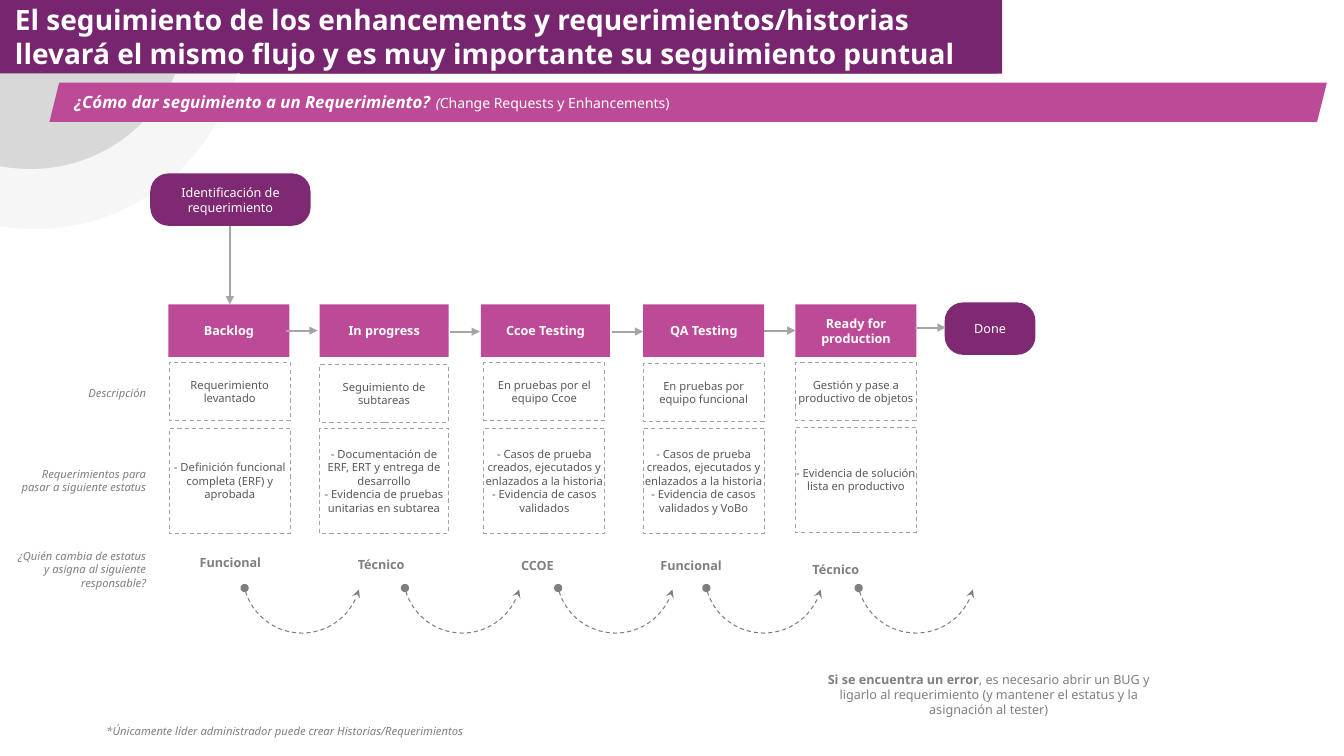
"""Builds the slide on how a requirement is followed from backlog to done."""
from dataclasses import dataclass

from pptx import Presentation
from pptx import util as u
from pptx.dml import color
from pptx.enum import dml, shapes, text
from pptx.oxml import ns, xmlchemy

TITLE = ("El seguimiento de los enhancements y requerimientos/historias "
         "llevará el mismo flujo y es muy importante su seguimiento puntual")
ASK = "¿Cómo dar seguimiento a un Requerimiento?"
TOPIC = "Change Requests y Enhancements)"

# fmt: off
STEPS = [
    dict(name="Backlog", head=(1.67, 1.2), body=(1.68, 1.2), tops=(3.6, 4.25),
         desc="Requerimiento levantado",
         needs=["- Definición funcional completa (ERF) y aprobada"],
         who="Funcional", spot=(1.52, 5.36, 1.53, 0.44), arc=2.41),
    dict(name="In progress", head=(3.17, 1.28), body=(3.17, 1.28), tops=(3.62, 4.25),
         desc="Seguimiento de subtareas",
         needs=["- Documentación de",
                "ERF, ERT y entrega de desarrollo\n- Evidencia de pruebas unitarias en subtarea"],
         who="Técnico", spot=(3.37, 5.38, 0.82, 0.44), arc=4),
    dict(name="Ccoe Testing", head=(4.77, 1.28), body=(4.8, 1.2), tops=(3.6, 4.25),
         desc="En pruebas por el equipo Ccoe",
         needs=["- Casos de prueba creados, ejecutados y enlazados a la historia\n"
                "- Evidencia de casos validados"],
         who="CCOE", spot=(4.76, 5.39, 1.14, 0.44), arc=5.52),
    dict(name="QA Testing", head=(6.38, 1.2), body=(6.38, 1.2), tops=(3.61, 4.25),
         desc="En pruebas por equipo funcional",
         needs=["- Casos de prueba creados, ejecutados y enlazados a la historia\n"
                "- Evidencia de casos validados y VoBo"],
         who="Funcional", spot=(5.83, 5.46, 2.05, 0.3), arc=6.99),
    dict(name="Ready for production", head=(7.89, 1.2), body=(7.89, 1.2), tops=(3.6, 4.24),
         desc="Gestión y pase a productivo de objetos",
         needs=["- Evidencia de solución lista en productivo"],
         who="Técnico", spot=(7.88, 5.43, 0.82, 0.44), arc=8.5),
]
# fmt: on
ENDS = [("Identificación de requerimiento", (1.49, 1.72, 1.59, 0.52)),
        ("Done", (9.37, 3, 0.9, 0.52))]
NOTES = [("Descripción", (0.02, 3.68, 1.53, 0.44)),
         ("Requerimientos para pasar a siguiente estatus", (0.02, 4.55, 1.53, 0.44)),
         ("¿Quién cambia de estatus y asigna al siguiente responsable?", (0.02, 5.43, 1.53, 0.44)),
         ("*Únicamente líder administrador puede crear Historias/Requerimientos",
          (0.49, 7.03, 4.21, 0.44))]
ARROWS = [(2.28, 2.24, 2.28, 3.02), (2.84, 3.28, 3.15, 3.28), (4.46, 3.29, 4.76, 3.29),
          (6.07, 3.29, 6.38, 3.29), (7.58, 3.28, 7.89, 3.28), (9.08, 3.25, 9.38, 3.25)]
BUG = ("Si se encuentra un error",
       ", es necesario abrir un BUG y ligarlo al requerimiento "
       "(y mantener el estatus y la asignación al tester)")


@dataclass(frozen=True)
class Theme:
    """Font, colours and type sizes."""
    font: str = "Noto Sans"
    band: str = "78256F"
    plum: str = "802973"
    pink: str = "BD4A96"
    white: str = "FFFFFF"
    pale: str = "F2F2F2"
    silver: str = "D8D8D8"
    gray: str = "7F7F7F"
    ink: str = "595959"
    edge: str = "9AA3BA"
    arrow: str = "A5A5A5"
    title: int = 20
    gap: int = 14
    ask: int = 12
    topic: int = 10
    label: int = 9
    small: int = 8


T = Theme()
KIND = shapes.MSO_SHAPE
SIDE = text.PP_ALIGN
deck = Presentation()
deck.slide_width, deck.slide_height = u.Inches(13.33), u.Inches(7.5)
slide = deck.slides.add_slide(deck.slide_layouts[6])


def rgb(code):
    return color.RGBColor.from_string(code)


def shape(kind, spot, fill=None, line=None, width=0.75, dash=False, adj=(), turn=0):
    item = slide.shapes.add_shape(kind, *map(u.Inches, spot))
    item.shadow.inherit = False
    item.rotation = turn
    for i, value in enumerate(adj):
        item.adjustments[i] = value
    if fill:
        item.fill.solid()
        item.fill.fore_color.rgb = rgb(fill)
    else:
        item.fill.background()
    if line:
        item.line.color.rgb = rgb(line)
        item.line.width = u.Pt(width)
        if dash:
            item.line.dash_style = dml.MSO_LINE.DASH
    else:
        item.line.fill.background()
    return item


def child(node, tag, **attrs):
    item = xmlchemy.OxmlElement(tag)
    for key, value in attrs.items():
        item.set(key, value)
    node.append(item)


def run(words, size, tone, bold=False, slant=False):
    return words, size, tone, bold, slant


def write(item, paras, side=SIDE.CENTER, pad=(0.1, 0.05)):
    frame = item.text_frame
    frame.word_wrap = True
    frame.vertical_anchor = text.MSO_ANCHOR.MIDDLE
    frame.margin_left = frame.margin_right = u.Inches(pad[0])
    frame.margin_top = frame.margin_bottom = u.Inches(pad[1])
    for i, runs in enumerate(paras):
        para = frame.add_paragraph() if i else frame.paragraphs[0]
        para.alignment = side
        for words, size, tone, bold, slant in runs:
            for j, part in enumerate(words.split("\n")):
                if j:
                    para.add_line_break()
                bit = para.add_run()
                bit.text = part
                font = bit.font
                font.name, font.size = T.font, u.Pt(size)
                font.bold, font.italic = bold, slant
                font.color.rgb = rgb(tone)


def label(spot, runs, side=SIDE.CENTER):
    box = slide.shapes.add_textbox(*map(u.Inches, spot))
    write(box, [runs], side, (0.1, 0.1))


def arrow(x1, y1, x2, y2):
    link = slide.shapes.add_connector(shapes.MSO_CONNECTOR.STRAIGHT,
                                      *map(u.Inches, (x1, y1, x2, y2)))
    link.line.color.rgb = rgb(T.arrow)
    link.line.width = u.Pt(1.5)
    child(link.line._get_or_add_ln(), "a:tailEnd", type="triangle")
    child(link._element.spPr, "a:effectLst")


def swing(left):
    arc = shape(KIND.ARC, (left, 5.11, 1.17, 1.17), line=T.gray, dash=True,
                adj=(116.2, 206.89), turn=180)
    arc._element.spPr.find(ns.qn("a:xfrm")).set("flipH", "1")
    ln = arc.line._get_or_add_ln()
    child(ln, "a:headEnd", type="oval")
    child(ln, "a:tailEnd", type="stealth")


def header():
    shape(KIND.RECTANGLE, (0, -0.01, 9.94, 0.74), T.band)
    halo = shape(KIND.CHORD, (-2.27, -2.35, 4.9, 4.46), T.pale, T.white, 2,
                 adj=(151.4, 64.51), turn=63.1)
    tone = halo._element.spPr.find(ns.qn("a:solidFill"))[0]
    child(tone, "a:alpha", val="67000")
    shape(KIND.CHORD, (-1.7, -1.85, 3.73, 3.39), T.silver, adj=(148.33, 67.19), turn=63.1)
    shape(KIND.PARALLELOGRAM, (0.49, 0.82, 12.67, 0.39), T.pink, adj=(0.25,))
    shape(KIND.RECTANGLE, (0, 0, 9.89, 0.73), T.band)
    label((0.05, -0.08, 9.89, 0.88), [run(TITLE, T.title, T.white, True)], SIDE.LEFT)
    label((0.64, 0.77, 9.82, 0.46),
          [run(ASK, T.ask, T.white, True, True), run(" ", T.gap, T.white, True, True),
           run("(", T.topic, T.white, False, True), run(TOPIC, T.topic, T.white)], SIDE.LEFT)


def column(step):
    left, width = step["head"]
    head = shape(KIND.ROUNDED_RECTANGLE, (left, 3.02, width, 0.52), T.pink, adj=(0,))
    write(head, [[run(step["name"], T.label, T.white, True)]])
    left, width = step["body"]
    cells = zip(step["tops"], (0.57, 1.04), (0.01, 0), ([step["desc"]], step["needs"]))
    for top, height, pad, paras in cells:
        cell = shape(KIND.RECTANGLE, (left, top, width, height), line=T.edge, dash=True)
        write(cell, [[run(words, T.small, T.ink)] for words in paras], pad=(pad, 0.05))
    label(step["spot"], [run(step["who"], T.label, T.gray, True)])
    swing(step["arc"])


def main():
    header()
    for step in STEPS:
        column(step)
    for words, spot in ENDS:
        pill = shape(KIND.ROUNDED_RECTANGLE, spot, T.plum, adj=(0.35,))
        write(pill, [[run(words, T.label, T.white)]])
    for ends in ARROWS:
        arrow(*ends)
    for words, spot in NOTES:
        label(spot, [run(words, T.small, T.gray, slant=True)], SIDE.RIGHT)
    label((8.11, 6.67, 3.39, 0.44),
          [run(BUG[0], T.label, T.gray, True), run(BUG[1], T.label, T.gray)])
    deck.save("out.pptx")


if __name__ == "__main__":
    main()
